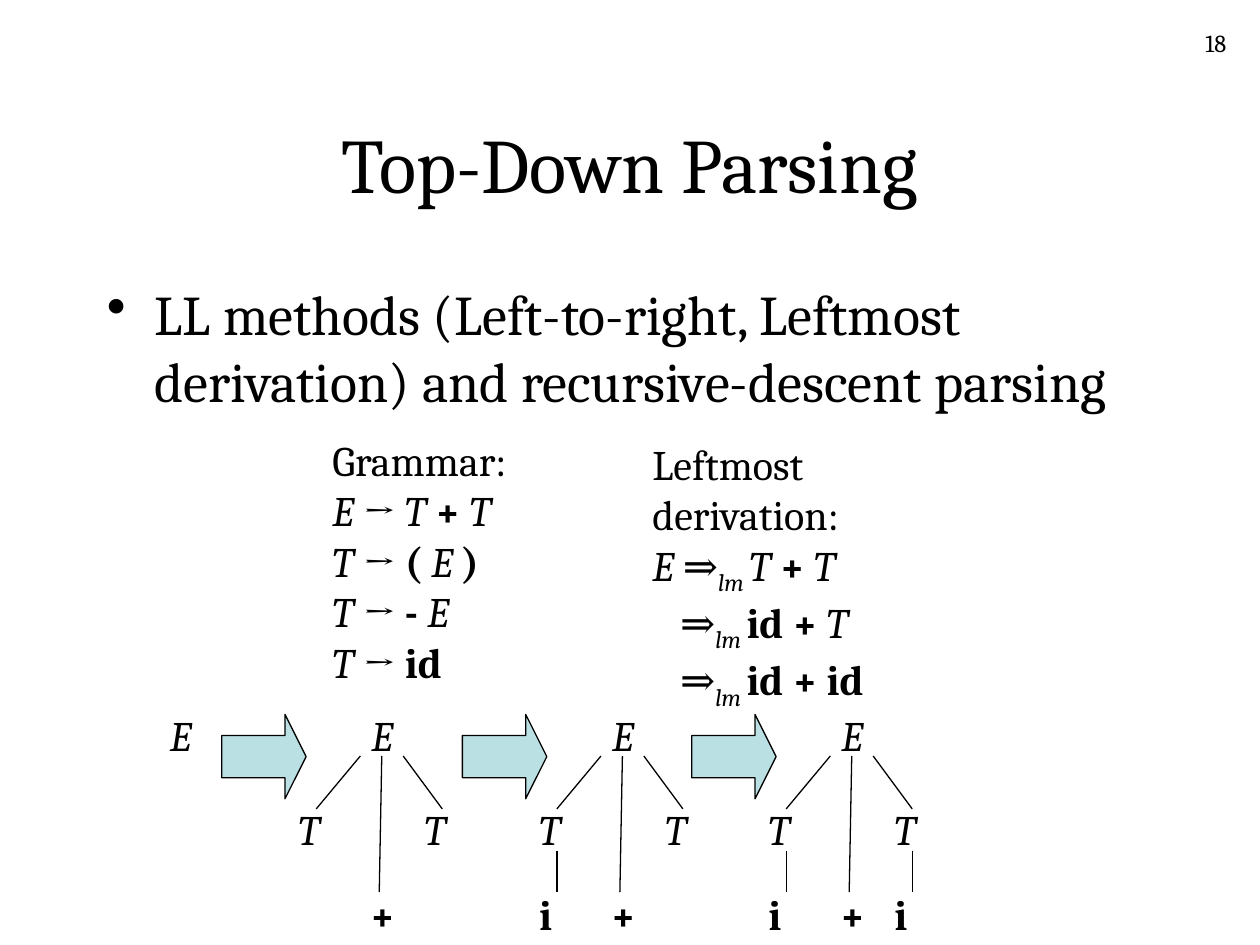
"""Build the slide on top-down parsing with its grammar, derivation and growing parse trees."""
import pptx
import pptx.util
import pptx.dml.color
import pptx.enum.shapes
import pptx.enum.text
import lxml.etree
from pptx.oxml.ns import qn

Inches = pptx.util.Inches
ALIGN = pptx.enum.text.PP_ALIGN
STYLES = {
    "plain": {},
    "italic": {"italic": True},
    "bold": {"bold": True},
    "sub": {"italic": True},
}
ARROW = ("plain", " → ")
DERIVES = [("plain", "⇒"), ("sub", "lm ")]


def color(hex_string):
    return pptx.dml.color.RGBColor.from_string(hex_string)


class ParsingSlide:
    font = "Cambria"
    ink = "000000"
    arrow_fill = "BBE0E3"
    line_width = 0.75

    def __init__(self, presentation):
        self.slide = presentation.slides.add_slide(presentation.slide_layouts[5])

    def add_runs(self, paragraph, parts, size):
        for style, words in parts:
            run = paragraph.add_run()
            run.text = words
            run.font.color.rgb = color(self.ink)
            values = {"name": self.font, "size": pptx.util.Pt(size), **STYLES[style]}
            for name, value in values.items():
                setattr(run.font, name, value)
            if style == "sub":
                run.font._element.set("baseline", "-25000")

    def title(self, words, left, top, width, height):
        heading = self.slide.shapes.title
        place = {"left": left, "top": top, "width": width, "height": height}
        for name, value in place.items():
            setattr(heading, name, Inches(value))
        heading.text_frame.vertical_anchor = pptx.enum.text.MSO_ANCHOR.MIDDLE
        paragraph = heading.text_frame.paragraphs[0]
        paragraph.alignment = ALIGN.CENTER
        self.add_runs(paragraph, [("plain", words)], 44)

    def text(self, lines, left, top, width, height, size=24,
             align=ALIGN.LEFT, wrap=True, indents=()):
        box = self.slide.shapes.add_textbox(*map(Inches, (left, top, width, height)))
        frame = box.text_frame
        frame.word_wrap = wrap
        for index, parts in enumerate(lines):
            paragraph = frame.add_paragraph() if index else frame.paragraphs[0]
            paragraph.alignment = align
            self.add_runs(paragraph, parts, size)
            if index in indents:
                paragraph._p.get_or_add_pPr().set("marL", str(Inches(0.22)))
        return frame

    def bullet(self, words, left, top, width, height):
        frame = self.text([[("plain", words)]], left, top, width, height, size=32)
        properties = frame.paragraphs[0]._p.get_or_add_pPr()
        properties.set("marL", str(Inches(0.38)))
        properties.set("indent", str(Inches(-0.38)))
        lxml.etree.SubElement(properties, qn("a:buChar")).set("char", "•")

    def node(self, style, symbol, left, top):
        self.text([[(style, symbol)]], left, top, 0.4, 0.5, wrap=False)

    def branch(self, x1, y1, x2, y2):
        edge = self.slide.shapes.add_connector(
            pptx.enum.shapes.MSO_CONNECTOR.STRAIGHT, *map(Inches, (x1, y1, x2, y2)))
        edge.line.color.rgb = color(self.ink)
        edge.line.width = pptx.util.Pt(self.line_width)
        lxml.etree.SubElement(edge._element.spPr, qn("a:effectLst"))

    def step_arrow(self, left):
        step = self.slide.shapes.add_shape(
            pptx.enum.shapes.MSO_SHAPE.RIGHT_ARROW,
            *map(Inches, (left, 5.67, 0.67, 0.67)))
        step.adjustments[0] = 0.5
        step.adjustments[1] = 0.25
        step.shadow.inherit = False
        step.fill.solid()
        step.fill.fore_color.rgb = color(self.arrow_fill)
        step.line.color.rgb = color(self.ink)
        step.line.width = pptx.util.Pt(self.line_width)

    def tree(self, root, expanded_terms):
        self.step_arrow(root - 1.09)
        self.node("italic", "E", root, 5.58)
        self.node("bold", "+", root - 0.01, 7)
        self.branch(root + 0.18, 6, root + 0.16, 7.08)
        for index, (start, term) in enumerate([(0.01, -0.58), (0.35, 0.42)]):
            stem = root + term + 0.24
            self.node("italic", "T", root + term, 6.33)
            self.branch(root + start, 6, stem, 6.42)
            if index < expanded_terms:
                self.branch(stem, 6.75, stem, 7.08)
                self.node("bold", "id", root + term, 7)


def main():
    presentation = pptx.Presentation()
    presentation.slide_width = Inches(10)
    presentation.slide_height = Inches(7.5)
    parsing = ParsingSlide(presentation)

    parsing.text([[("plain", "18")]], 7.75, 0.17, 2.08, 0.5, size=14, align=ALIGN.RIGHT)
    parsing.title("Top-Down Parsing", 0.75, 0.67, 8.5, 1.25)
    parsing.bullet("LL methods (Left-to-right, Leftmost derivation) "
                   "and recursive-descent parsing", 0.75, 2.17, 8.5, 1.2)

    grammar = [
        [("plain", "Grammar:")],
        [("italic", "E"), ARROW, ("italic", "T "), ("bold", "+ "), ("italic", "T")],
        [("italic", "T"), ARROW, ("bold", "( "), ("italic", "E "), ("bold", ")")],
        [("italic", "T"), ARROW, ("bold", "- "), ("italic", "E")],
        [("italic", "T"), ARROW, ("bold", "id")],
    ]
    parsing.text(grammar, 2.54, 3.4, 1.63, 2.1)

    derivation = [
        [("plain", "Leftmost derivation:")],
        [("italic", "E "), *DERIVES, ("italic", "T "), ("bold", "+"), ("italic", " T")],
        [*DERIVES, ("bold", "id + "), ("italic", "T")],
        [*DERIVES, ("bold", "id + id")],
    ]
    parsing.text(derivation, 5.08, 3.43, 2, 2.2, indents=(2, 3))

    parsing.node("italic", "E", 1.25, 5.58)
    for expanded_terms, root in enumerate([2.85, 4.76, 6.58]):
        parsing.tree(root, expanded_terms)

    presentation.save("out.pptx")


if __name__ == "__main__":
    main()
